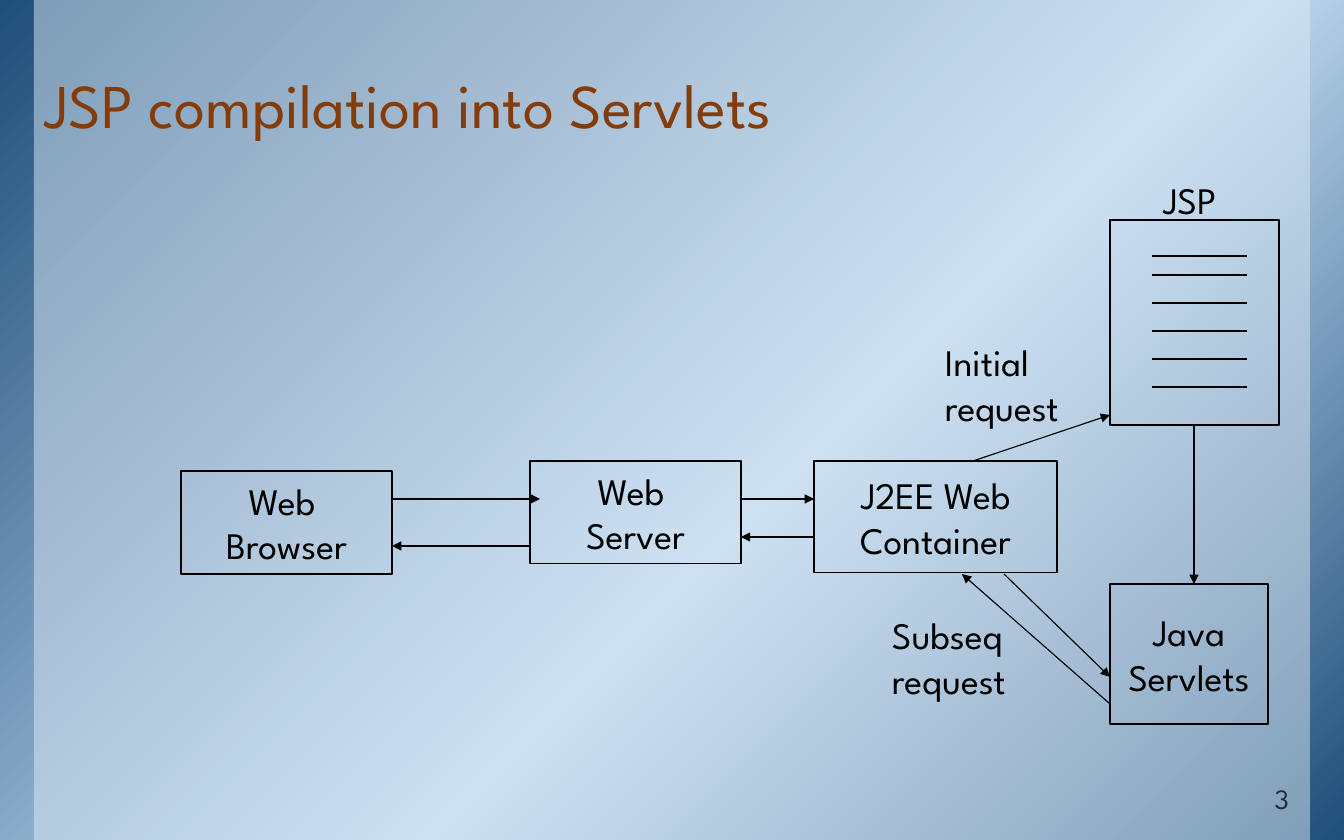
from lxml import etree
from pptx import Presentation
from pptx.dml.color import RGBColor
from pptx.enum.shapes import MSO_CONNECTOR as Connector, MSO_SHAPE as Preset
from pptx.enum.text import MSO_ANCHOR as Anchor, MSO_AUTO_SIZE as AutoSize, PP_ALIGN as Align
from pptx.oxml import parse_xml
from pptx.oxml.ns import nsdecls, qn
from pptx.util import Inches, Pt

PX = Inches(1) / 112
FONT = "League Spartan"
COLORS = {
    "ink": "000000",
    "title": "843C0B",
    "number": "222A35",
    "deep": "1F4E79",
    "sky": "BDD7EE",
    "veil": "DEEBF7",
}


def px(*lengths):
    return [round(length * PX) for length in lengths]


def write(shape, lines, size=24, color="ink", align=Align.LEFT, spacing=None, **frame_format):
    frame = shape.text_frame
    frame.text = "\n".join(lines)
    for name, value in frame_format.items():
        setattr(frame, name, value)
    for paragraph in frame.paragraphs:
        paragraph.alignment = align
        paragraph.line_spacing = spacing
        font = paragraph.runs[0].font
        for name, value in {"name": FONT, "size": Pt(size), "bold": False}.items():
            setattr(font, name, value)
        font.color.rgb = RGBColor.from_string(COLORS[color])


presentation = Presentation()
presentation.slide_width, presentation.slide_height = px(1344, 840)
slide = presentation.slides.add_slide(presentation.slide_layouts[5])
shapes = slide.shapes

backdrop = shapes.add_shape(Preset.RECTANGLE, *px(0, 0, 1344, 840))
panel = shapes.add_shape(Preset.RECTANGLE, *px(34, 0, 1276, 840))
for shape in (backdrop, panel):
    shape.shadow.inherit = False
    shape.line.fill.background()

stops = "".join(
    f'<a:gs pos="{position * 1000}"><a:srgbClr val="{COLORS[color]}"/></a:gs>'
    for position, color in [(0, "deep"), (58, "sky"), (100, "deep")]
)
backdrop.element.spPr.find(qn("a:prstGeom")).addnext(parse_xml(
    f'<a:gradFill {nsdecls("a")}><a:gsLst>{stops}</a:gsLst><a:lin ang="2700000" scaled="0"/></a:gradFill>'
))
panel.fill.solid()
panel.fill.fore_color.rgb = RGBColor.from_string(COLORS["veil"])
veil_color = panel.element.spPr.find(qn("a:solidFill"))[0]
etree.SubElement(veil_color, qn("a:alpha"), val="50000")

title = shapes.title
panel.element.addnext(title.element)
title.left, title.top, title.width, title.height = px(30, 9, 1272, 140)
side, edge = px(15, 8)
bottom_format = {
    "vertical_anchor": Anchor.BOTTOM,
    "auto_size": AutoSize.NONE,
    "word_wrap": True,
    "margin_left": side,
    "margin_right": side,
    "margin_top": edge,
    "margin_bottom": edge,
}
write(title, ["JSP compilation into Servlets"], 40, "title", spacing=0.85, **bottom_format)
slide_number = shapes.add_textbox(*px(1182, 784, 122, 39))
write(slide_number, ["3"], 18, "number", Align.RIGHT, **bottom_format)

boxes = [
    ((181, 471, 211, 103), ["Web ", "Browser"]),
    ((530, 461, 211, 103), ["Web ", "Server"]),
    ((814, 461, 243, 112), ["J2EE Web", "Container"]),
    ((1110, 220, 169, 205), []),
    ((1110, 584, 158, 140), ["Java", "Servlets"]),
]
for bounds, lines in boxes:
    box = shapes.add_shape(Preset.RECTANGLE, *px(*bounds))
    box.shadow.inherit = False
    box.fill.background()
    box.line.color.rgb = RGBColor.from_string(COLORS["ink"])
    box.line.width = Pt(0.75)
    if lines:
        write(box, lines, align=Align.CENTER, vertical_anchor=Anchor.MIDDLE, word_wrap=False)

arrows = [
    (392, 499, 540, 499),
    (530, 546, 392, 546),
    (741, 499, 814, 499),
    (814, 537, 741, 537),
    (973, 461, 1110, 415),
    (1194, 425, 1194, 584),
    (1004, 574, 1110, 677),
    (1110, 704, 962, 574),
]
page_lines = [(1152, y, 1247, y) for y in (256, *range(275, 388, 28))]
for ends in page_lines + arrows:
    connector = shapes.add_connector(Connector.STRAIGHT, *px(*ends))
    connector.line.color.rgb = RGBColor.from_string(COLORS["ink"])
    connector.line.width = Pt(0.75)
    properties = connector.element.spPr
    if ends in arrows:
        etree.SubElement(properties.find(qn("a:ln")), qn("a:tailEnd"), type="triangle")
    etree.SubElement(properties, qn("a:effectLst"))

labels = [
    ((1152, 172, 90, 56), ["JSP"]),
    ((934, 334, 165, 101), ["Initial", "request"]),
    ((881, 607, 165, 101), ["Subseq", "request"]),
]
for bounds, lines in labels:
    label = shapes.add_textbox(*px(*bounds))
    write(label, lines, word_wrap=False, auto_size=AutoSize.SHAPE_TO_FIT_TEXT)

presentation.save("out.pptx")
